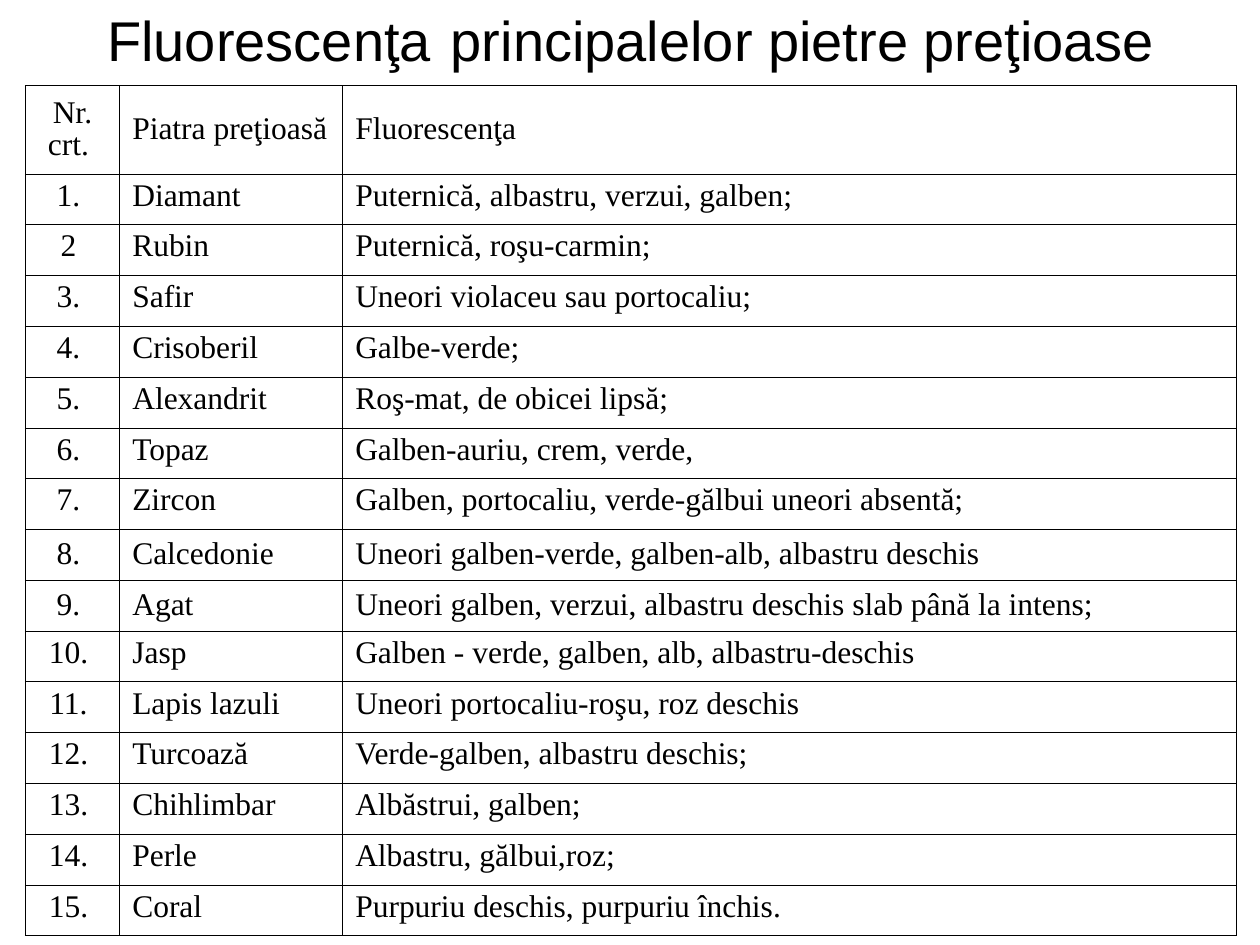
import pptx
import pptx.dml.color
import pptx.enum.text
import pptx.oxml
import pptx.oxml.ns
import pptx.util

Inches = pptx.util.Inches
Pt = pptx.util.Pt
Align = pptx.enum.text.PP_ALIGN
Anchor = pptx.enum.text.MSO_ANCHOR

COLORS = {"ink": "000000", "paper": "FFFFFF"}
HEAD = ("Nr. crt. ", "Piatra preţioasă", "Fluorescenţa")
GEMS = [
    ("1. ", "Diamant", "Puternică, albastru, verzui, galben;"),
    ("2 ", "Rubin", "Puternică, roşu-carmin;"),
    ("3. ", "Safir", "Uneori violaceu sau portocaliu;"),
    ("4. ", "Crisoberil", "Galbe-verde;"),
    ("5. ", "Alexandrit", "Roş-mat, de obicei lipsă;"),
    ("6. ", "Topaz", "Galben-auriu, crem, verde,"),
    ("7. ", "Zircon", "Galben, portocaliu, verde-gălbui uneori absentă;"),
    ("8. ", "Calcedonie", "Uneori galben-verde, galben-alb, albastru deschis"),
    ("9. ", "Agat", "Uneori galben, verzui, albastru deschis slab până la intens;"),
    ("10. ", "Jasp", "Galben - verde, galben, alb, albastru-deschis"),
    ("11. ", "Lapis lazuli", "Uneori portocaliu-roşu, roz deschis"),
    ("12. ", "Turcoază", "Verde-galben, albastru deschis;"),
    ("13. ", "Chihlimbar", "Albăstrui, galben;"),
    ("14. ", "Perle", "Albastru, gălbui,roz;"),
    ("15. ", "Coral", "Purpuriu deschis, purpuriu închis."),
]
MIDDLE_ROWS = (0, 8, 9)


def rgb(name):
    return pptx.dml.color.RGBColor.from_string(COLORS[name])


def write(para, text, font="Times New Roman", size=18, bold=False,
          align=Align.LEFT, spacing=0.93, hang=0):
    """Add one run to the paragraph; hang is the hanging indent in inches."""
    para.alignment = align
    para.line_spacing = spacing
    if hang:
        props = para._p.get_or_add_pPr()
        props.set("marL", str(Inches(hang)))
        props.set("indent", str(-Inches(hang)))
    run = para.add_run()
    run.text = text
    run.font.name = font
    run.font.size = Pt(size)
    run.font.bold = bold
    run.font.color.rgb = rgb("ink")


def border(cell, width=0.45):
    props = cell._tc.get_or_add_tcPr()
    for i, side in enumerate(("lnL", "lnR", "lnT", "lnB")):
        props.insert(i, pptx.oxml.parse_xml(
            f'<a:{side} {pptx.oxml.ns.nsdecls("a")} w="{Pt(width)}">'
            f'<a:solidFill><a:srgbClr val="{COLORS["ink"]}"/></a:solidFill>'
            f'</a:{side}>'))


def add_title(slide, left, top, width, height):
    box = slide.shapes.add_textbox(
        Inches(left), Inches(top), Inches(width), Inches(height))
    frame = box.text_frame
    frame.word_wrap = True
    frame.vertical_anchor = Anchor.MIDDLE
    para = frame.paragraphs[0]
    for text, size, bold in (("Fluorescenţa", 32, False), (" ", 40, True),
                             ("principalelor pietre preţioase", 32, False)):
        write(para, text, font="Arial", size=size, bold=bold,
              align=Align.CENTER, spacing=0.93)


def add_gems(slide, left, top, width, height, head=0.7, first=0.75, second=1.77):
    rows = [HEAD] + GEMS
    table = slide.shapes.add_table(
        len(rows), len(HEAD), Inches(left), Inches(top),
        Inches(width), Inches(height)).table
    table.first_row = table.horz_banding = False
    for col, size in zip(table.columns, (first, second, width - first - second)):
        col.width = Inches(size)
    step = (height - head) / len(GEMS)
    for r, texts in enumerate(rows):
        table.rows[r].height = Inches(step if r else head)
        for c, text in enumerate(texts):
            cell = table.cell(r, c)
            cell.fill.solid()
            cell.fill.fore_color.rgb = rgb("paper")
            cell.vertical_anchor = Anchor.MIDDLE if r in MIDDLE_ROWS else Anchor.TOP
            border(cell)
            write(cell.text_frame.paragraphs[0], text,
                  align=Align.LEFT if c else Align.CENTER,
                  hang=0.38 if r or c else 0)


def main():
    deck = pptx.Presentation()
    deck.slide_width, deck.slide_height = Inches(10), Inches(7.5)
    slide = deck.slides.add_slide(deck.slide_layouts[6])
    add_title(slide, 0.51, 0, 9, 0.61)
    add_gems(slide, 0.2, 0.68, 9.61, 6.75)
    deck.save("out.pptx")


if __name__ == "__main__":
    main()
